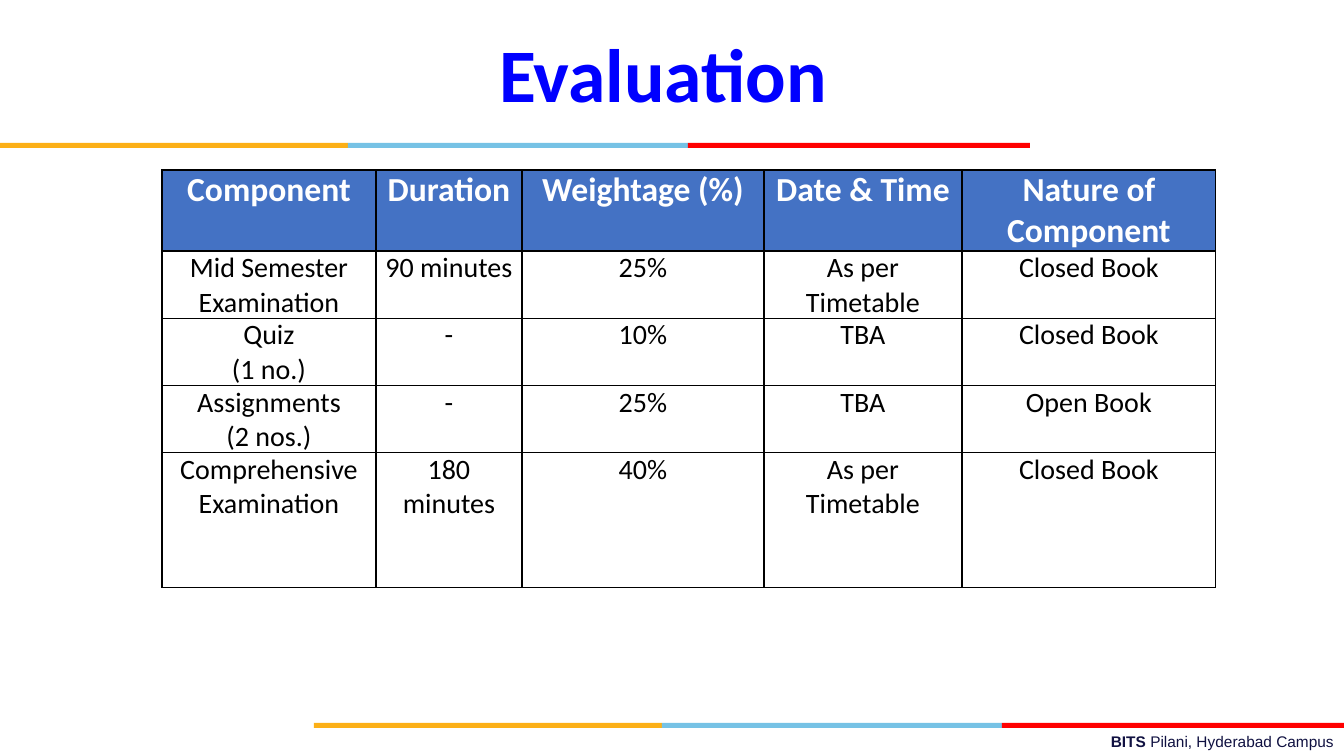
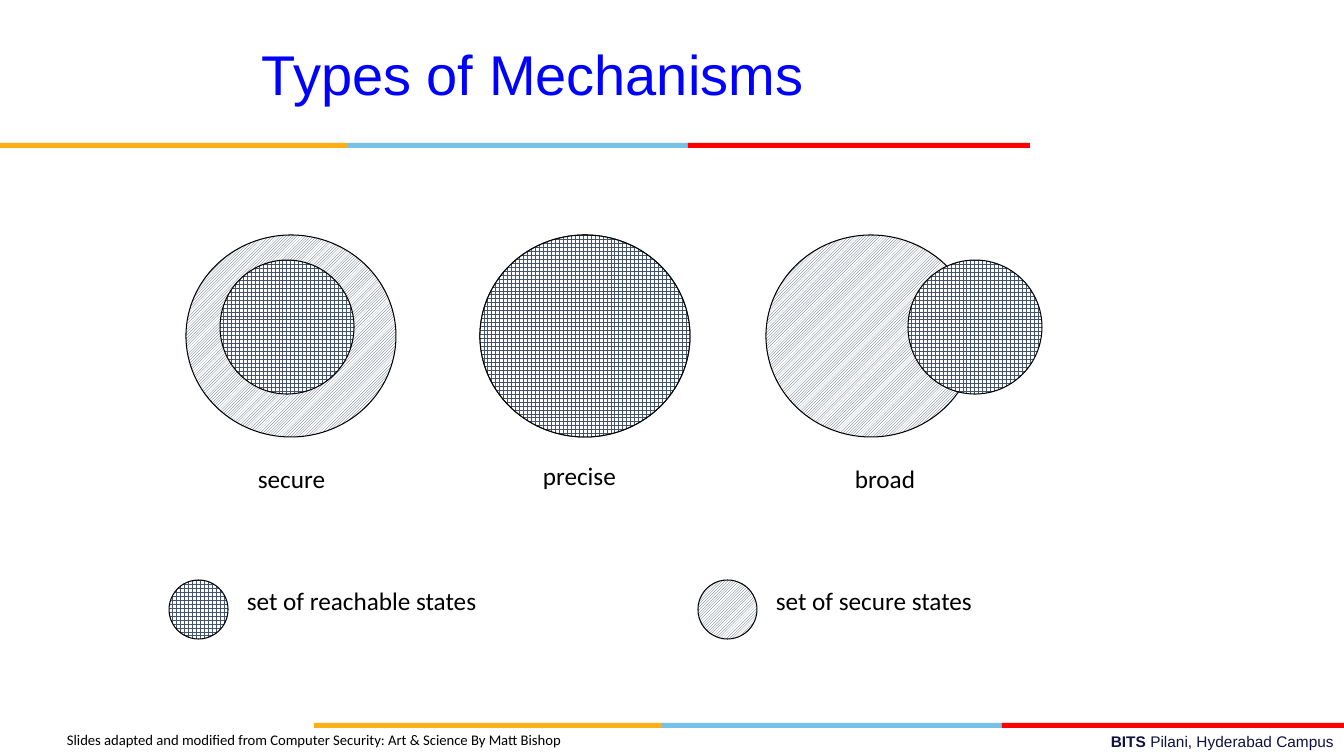
from itertools import accumulate
from lxml.etree import SubElement
from pptx import Presentation
from pptx.dml.color import RGBColor
from pptx.enum.dml import MSO_PATTERN as Pat
from pptx.enum.shapes import MSO_SHAPE as Geo
from pptx.enum.text import MSO_ANCHOR as Anchor, MSO_AUTO_SIZE as Auto, PP_ALIGN as Align
from pptx.oxml.ns import qn
from pptx.util import Pt

PX = 914400 / 100.8
WIDE, HIGH = 1344, 756
GOLD = RGBColor(0xFC, 0xB0, 0x17)
SKY = RGBColor(0x76, 0xC2, 0xE5)
RED = RGBColor(0xFF, 0x00, 0x00)
BLUE = RGBColor(0x00, 0x00, 0xFF)
NAVY = RGBColor(0x10, 0x11, 0x41)
SLATE = RGBColor(0x44, 0x54, 0x6A)
HEAD = RGBColor(0x44, 0x72, 0xC4)
BLACK = RGBColor(0x00, 0x00, 0x00)
WHITE = RGBColor(0xFF, 0xFF, 0xFF)

BANDS = [(348, GOLD), (340, SKY), (342, RED)]
REACH, SAFE = Pat.LARGE_GRID, Pat.LIGHT_UPWARD_DIAGONAL
COLS = [214, 146, 242, 198, 254]
ROWS = [81, 67, 67, 67, 135]
CELLS = [
    ["Component", "Duration", "Weightage (%)", "Date & Time", "Nature of Component"],
    ["Mid Semester Examination", "90 minutes", "25%", "As per Timetable", "Closed Book"],
    ["Quiz\n(1 no.)", "-", "10%", "TBA", "Closed Book"],
    ["Assignments\n(2 nos.)", "-", "25%", "TBA", "Open Book"],
    ["Comprehensive\nExamination", "180 minutes", "40%", "As per Timetable", "Closed Book"],
]


def emu(*vals):
    return [round(v * PX) for v in vals]


def style(para, size, color, name="Calibri", bold=False, align=Align.LEFT):
    para.alignment = align
    font = para.font
    font.size, font.name, font.bold = Pt(size), name, bold
    font.color.rgb = color


def label(slide, box, text, size=18, **look):
    frame = slide.shapes.add_textbox(*emu(*box)).text_frame
    frame.word_wrap = True
    para = frame.paragraphs[0]
    para.text = text
    style(para, size, **{"color": BLACK, **look})
    return para


def shape(slide, geo, box):
    item = slide.shapes.add_shape(geo, *emu(*box))
    item.shadow.inherit = False
    return item


def stripe(slide, left, top):
    ends = accumulate((wide for wide, _ in BANDS), initial=left)
    for x, (wide, color) in zip(ends, BANDS):
        band = shape(slide, Geo.RECTANGLE, (x, top, wide, 5))
        band.fill.solid()
        band.fill.fore_color.rgb = color
        band.line.fill.background()


def footer(slide):
    para = label(slide, (482, 727, 862, 29), "", 11,
                 color=NAVY, name="Arial", align=Align.RIGHT)
    for text, bold in [("BITS ", True), ("Pilani, Hyderabad Campus", False)]:
        run = para.add_run()
        run.text = text
        run.font.bold = bold


def base(deck, title, box, size, anchor, **look):
    slide = deck.slides.add_slide(deck.slide_layouts[5])
    stripe(slide, 0, 143)
    stripe(slide, 314, 723)
    footer(slide)
    head = slide.shapes.title
    head.left, head.top, head.width, head.height = emu(*box)
    frame = head.text_frame
    frame.text = title
    frame.word_wrap, frame.auto_size = True, Auto.NONE
    frame.vertical_anchor = anchor
    style(frame.paragraphs[0], size, BLUE, **look)
    return slide


def border(cell):
    props = cell._tc.get_or_add_tcPr()
    for side in "LRTB":
        line = SubElement(props, qn(f"a:ln{side}"), w=str(Pt(1)))
        fill = SubElement(line, qn("a:solidFill"))
        SubElement(fill, qn("a:srgbClr"), val=str(BLACK))


def fill_cell(cell, text, head):
    border(cell)
    cell.fill.solid()
    cell.fill.fore_color.rgb = HEAD if head else WHITE
    cell.margin_left = cell.margin_right = emu(7)[0]
    cell.margin_top = cell.margin_bottom = 0
    cell.text = text
    for para in cell.text_frame.paragraphs:
        style(para, 24 if head else 20, WHITE if head else BLACK,
              bold=head, align=Align.CENTER)


def grid(slide, left, top):
    box = emu(left, top, sum(COLS), sum(ROWS))
    table = slide.shapes.add_table(len(ROWS), len(COLS), *box).table
    for col, wide in zip(table.columns, emu(*COLS)):
        col.width = wide
    for r, (row, high) in enumerate(zip(table.rows, emu(*ROWS))):
        row.height = high
        for cell, text in zip(row.cells, CELLS[r]):
            fill_cell(cell, text, r == 0)


def disc(slide, box, kind):
    item = shape(slide, Geo.OVAL, box)
    item.fill.patterned()
    item.fill.pattern = kind
    item.fill.fore_color.rgb = SLATE
    item.fill.back_color.rgb = WHITE
    item.line.color.rgb = BLACK
    item.line.width = Pt(0.75)


def venn(slide, left, top, inner, name, spot):
    dx, dy, wide, high = inner
    disc(slide, (left, top, 210, 202), SAFE)
    disc(slide, (left + dx, top + dy, wide, high), REACH)
    label(slide, (left + spot[0], top + spot[1], 115, 50), name)


def legend(slide, left, top, kind, text):
    disc(slide, (left, top, 59, 59), kind)
    label(slide, (left + 68, top, 314, 50), text)


def marks(deck):
    slide = base(deck, "Evaluation", (489, 21, 409, 103), 54, Anchor.BOTTOM, bold=True)
    slide.shapes.title.text_frame.paragraphs[0].line_spacing = 0.9
    grid(slide, 162, 170)


def types(deck):
    slide = base(deck, "Types of Mechanisms", (142, 34, 781, 78), 40, Anchor.TOP,
                 name="Arial", align=Align.CENTER)
    venn(slide, 186, 235, (34, 25, 134, 134), "secure", (62, 223))
    venn(slide, 480, 235, (0, 0, 210, 202), "precise", (53, 220))
    venn(slide, 766, 235, (142, 25, 134, 134), "broad", (79, 223))
    legend(slide, 169, 580, REACH, "set of reachable states")
    legend(slide, 698, 580, SAFE, "set of secure states")
    label(slide, (57, 726, 758, 29),
          "Slides adapted and modified from Computer Security: "
          "Art & Science By Matt Bishop", 10.5)


def main():
    deck = Presentation()
    deck.slide_width, deck.slide_height = emu(WIDE, HIGH)
    marks(deck)
    types(deck)
    deck.save("out.pptx")


if __name__ == "__main__":
    main()
